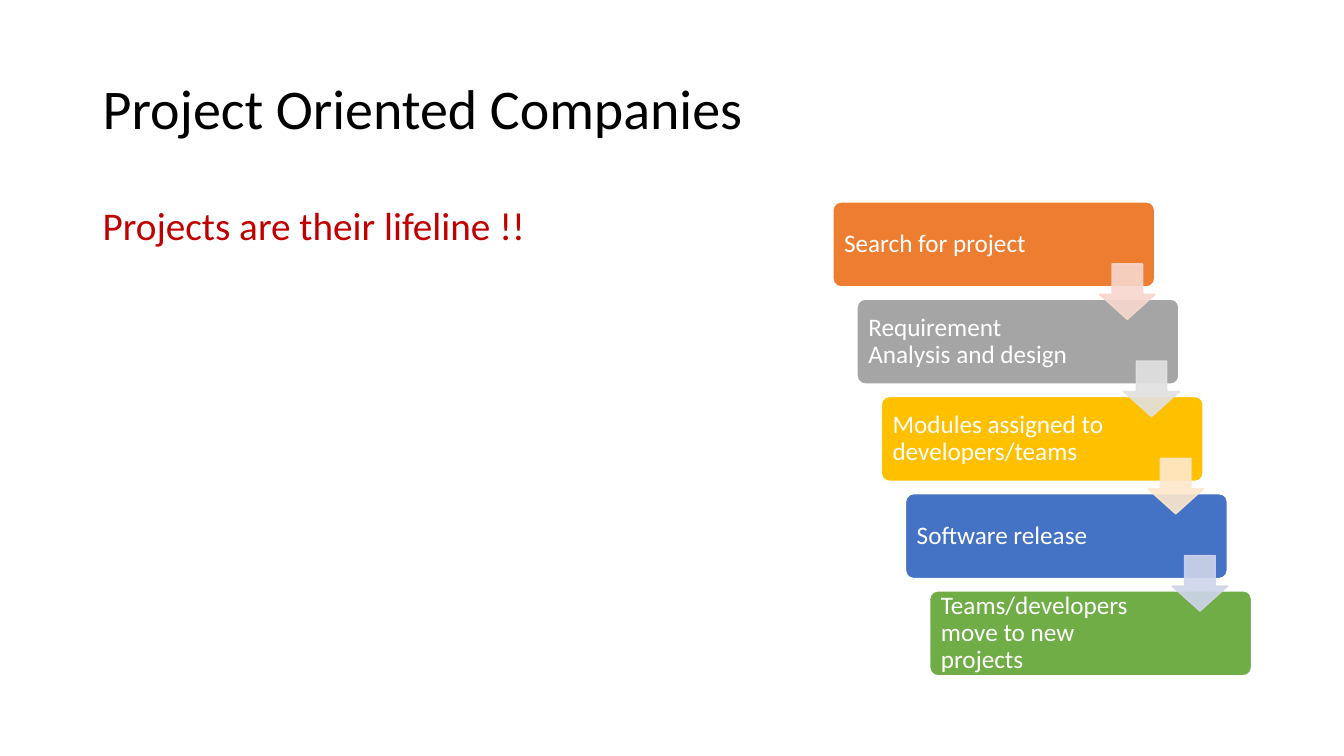
from lxml.etree import SubElement
from pptx import Presentation
from pptx.dml.color import RGBColor
from pptx.enum.shapes import MSO_SHAPE as Shape
from pptx.enum.text import MSO_ANCHOR as Anchor, PP_ALIGN as Align
from pptx.oxml.ns import qn
from pptx.util import Cm, Pt

# Content
TITLE = "Project Oriented Companies"
MESSAGE = "Projects are their lifeline !!"
# Step text, step colour, colour of the arrow to the next step
STEPS = [
    ("Search for project", "ED7D31", "F8D7CE"),
    ("Requirement Analysis and design", "A5A5A5", "E1E1E1"),
    ("Modules assigned to developers/teams", "FFC000", "FFE8CC"),
    ("Software release", "4472C4", "CFD5EA"),
    ("Teams/developers move to new projects", "70AD47", None),
]

# Layout in centimetres
MARGIN, TEXT_WIDTH = 2.34, 29.21
STEP_LEFT, STEP_TOP = 20.98, 5.08
STEP_WIDTH, STEP_HEIGHT = 8.13, 2.16
SHIFT_X, SHIFT_Y = 0.61, 2.45
ARROW_X, ARROW_Y, ARROW_SIZE = 6.73, 1.57, 1.4
ARROW_OPACITY = 90


def colour(hex_code):
    return RGBColor.from_string(hex_code)


def write(frame, text, size, hex_code, anchor, align=Align.LEFT):
    frame.word_wrap = True
    frame.vertical_anchor = anchor
    paragraph = frame.paragraphs[0]
    paragraph.text = text
    paragraph.alignment = align
    paragraph.line_spacing = 0.9
    paragraph.font.name = "Calibri"
    paragraph.font.size = Pt(size)
    paragraph.font.color.rgb = colour(hex_code)


def add_text(top, height, *style):
    box = slide.shapes.add_textbox(Cm(MARGIN), Cm(top), Cm(TEXT_WIDTH), Cm(height))
    write(box.text_frame, *style)


def add_block(kind, left, top, width, height, adjustments, fill, line, line_width):
    block = slide.shapes.add_shape(kind, Cm(left), Cm(top), Cm(width), Cm(height))
    block.shadow.inherit = False
    for index, value in enumerate(adjustments):
        block.adjustments[index] = value
    block.fill.solid()
    block.fill.fore_color.rgb = colour(fill)
    block.line.color.rgb = colour(line)
    block.line.width = Pt(line_width)
    return block


presentation = Presentation()
presentation.slide_width, presentation.slide_height = Cm(33.87), Cm(19.05)
slide = presentation.slides.add_slide(presentation.slide_layouts[6])

# Title and message
add_text(1.02, 3.58, TITLE, 40, "000000", Anchor.MIDDLE)
add_text(5.08, 12.09, MESSAGE, 28, "C00000", Anchor.TOP, Align.JUSTIFY)

# Staircase of steps
for number, (label, step_colour, _) in enumerate(STEPS):
    step = add_block(Shape.ROUNDED_RECTANGLE,
                     STEP_LEFT + number * SHIFT_X, STEP_TOP + number * SHIFT_Y,
                     STEP_WIDTH, STEP_HEIGHT, [0.1], step_colour, "FFFFFF", 1.5)
    frame = step.text_frame
    frame.margin_left, frame.margin_right = Cm(0.23), Cm(2.26)
    frame.margin_top = frame.margin_bottom = Cm(0.18)
    write(frame, label, 18, "FFFFFF", Anchor.MIDDLE)

# Translucent arrows between steps
for number, (_, _, arrow_colour) in enumerate(STEPS[:-1]):
    arrow = add_block(Shape.DOWN_ARROW,
                      STEP_LEFT + ARROW_X + number * SHIFT_X,
                      STEP_TOP + ARROW_Y + number * SHIFT_Y,
                      ARROW_SIZE, ARROW_SIZE, [0.55, 0.45],
                      arrow_colour, arrow_colour, 1)
    for tint in arrow.element.spPr.iter(qn("a:srgbClr")):
        SubElement(tint, qn("a:alpha"), val=str(ARROW_OPACITY * 1000))

presentation.save("out.pptx")
